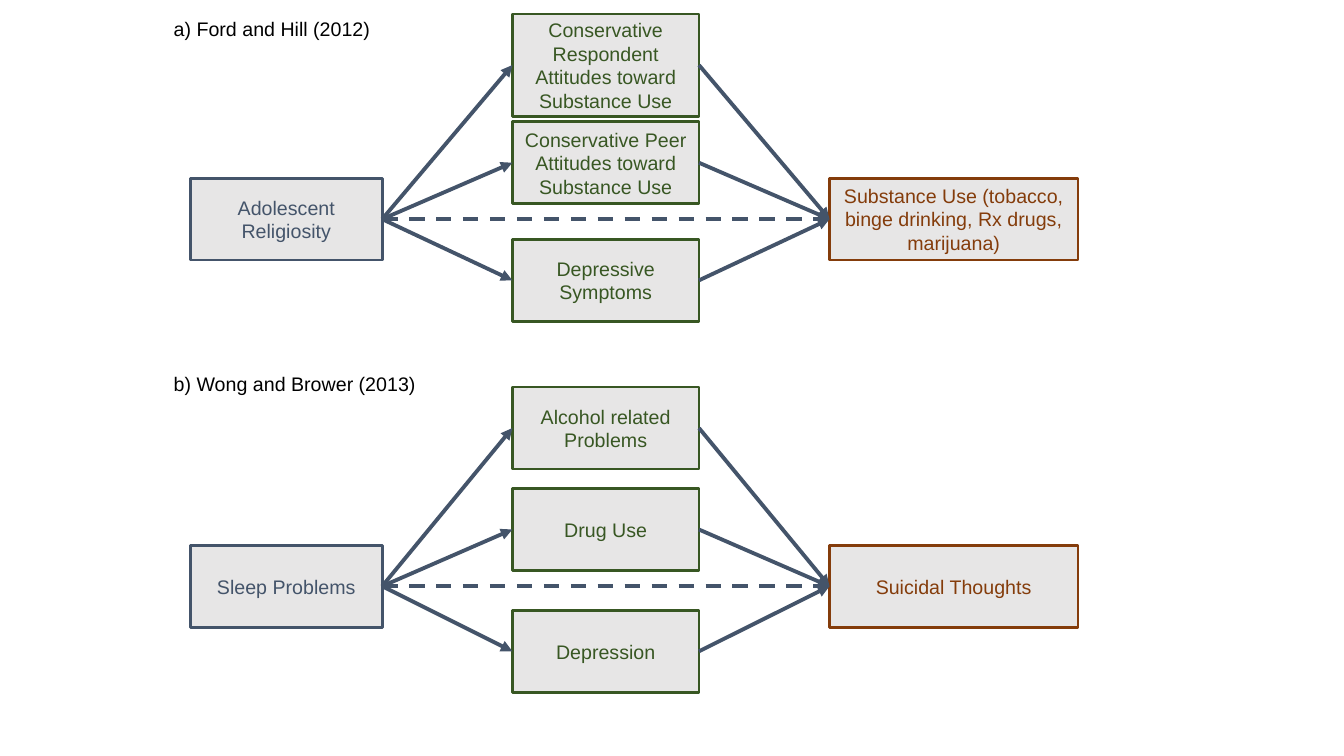
from pptx import Presentation
from pptx.util import Pt
from pptx.dml.color import RGBColor
from pptx.enum.dml import MSO_LINE
from pptx.enum.shapes import MSO_CONNECTOR, MSO_SHAPE
from pptx.enum.text import MSO_ANCHOR, MSO_AUTO_SIZE, PP_ALIGN
from pptx.oxml.ns import qn
from lxml.etree import SubElement

MODELS = [
    {
        "caption": ("a) Ford and Hill (2012)", 8.6),
        "predictor": "Adolescent Religiosity",
        "outcome": "Substance Use (tobacco, binge drinking, Rx drugs, marijuana)",
        "ends_top": 127.3,
        "mediators": [
            ("Conservative Respondent Attitudes toward Substance Use", 10, 73),
            ("Conservative Peer Attitudes toward Substance Use", 87, 58.5),
            ("Depressive Symptoms", 171, 58.5),
        ],
    },
    {
        "caption": ("b) Wong and Brower (2013)", 262.1),
        "predictor": "Sleep Problems",
        "outcome": "Suicidal Thoughts",
        "ends_top": 389.5,
        "mediators": [
            ("Alcohol related Problems", 276.5, 58.5),
            ("Drug Use", 349, 58.5),
            ("Depression", 436, 58.5),
        ],
    },
]
PREDICTOR = (136, 137, "44546A")
MEDIATOR = (366, 133.3, "385723")
OUTCOME = (592.5, 177.5, "843C0B")
BOX_HEIGHT = 58.5
BOX_FILL = "E7E6E6"
ARROW_COLOR = "44546A"
LEFT_SITE, RIGHT_SITE = 1, 3


def rgb(color):
    return RGBColor.from_string(color)


def set_text(frame, text, color, align):
    frame.text = text
    paragraph = frame.paragraphs[0]
    paragraph.alignment = align
    paragraph.font.name = "Arial"
    paragraph.font.size = Pt(14)
    paragraph.font.color.rgb = rgb(color)


def add_box(column, text, top, height=BOX_HEIGHT):
    left, width, color = column
    box = shapes.add_shape(MSO_SHAPE.RECTANGLE, Pt(left), Pt(top), Pt(width), Pt(height))
    box.shadow.inherit = False
    box.fill.solid()
    box.fill.fore_color.rgb = rgb(BOX_FILL)
    box.line.color.rgb = rgb(color)
    box.line.width = Pt(2)
    box.text_frame.word_wrap = True
    box.text_frame.vertical_anchor = MSO_ANCHOR.MIDDLE
    set_text(box.text_frame, text, color, PP_ALIGN.CENTER)
    return box


def add_arrow(cause, effect, dashed=False):
    arrow = shapes.add_connector(MSO_CONNECTOR.STRAIGHT, 0, 0, 0, 0)
    arrow.begin_connect(cause, RIGHT_SITE)
    arrow.end_connect(effect, LEFT_SITE)
    arrow.line.color.rgb = rgb(ARROW_COLOR)
    arrow.line.width = Pt(2.75)
    if dashed:
        arrow.line.dash_style = MSO_LINE.DASH
    properties = arrow._element.spPr
    SubElement(properties.find(qn("a:ln")), qn("a:tailEnd"), type="triangle")
    SubElement(properties, qn("a:effectLst"))


def add_caption(text, top):
    caption = shapes.add_textbox(Pt(117), Pt(top), Pt(188), Pt(24.2))
    caption.text_frame.word_wrap = False
    caption.text_frame.auto_size = MSO_AUTO_SIZE.SHAPE_TO_FIT_TEXT
    set_text(caption.text_frame, text, "000000", PP_ALIGN.LEFT)


presentation = Presentation()
presentation.slide_width, presentation.slide_height = Pt(960), Pt(540)
shapes = presentation.slides.add_slide(presentation.slide_layouts[6]).shapes

for model in MODELS:
    add_caption(*model["caption"])
    predictor = add_box(PREDICTOR, model["predictor"], model["ends_top"])
    outcome = add_box(OUTCOME, model["outcome"], model["ends_top"])
    add_arrow(predictor, outcome, dashed=True)
    for text, top, height in model["mediators"]:
        mediator = add_box(MEDIATOR, text, top, height)
        add_arrow(predictor, mediator)
        add_arrow(mediator, outcome)

presentation.save("out.pptx")
